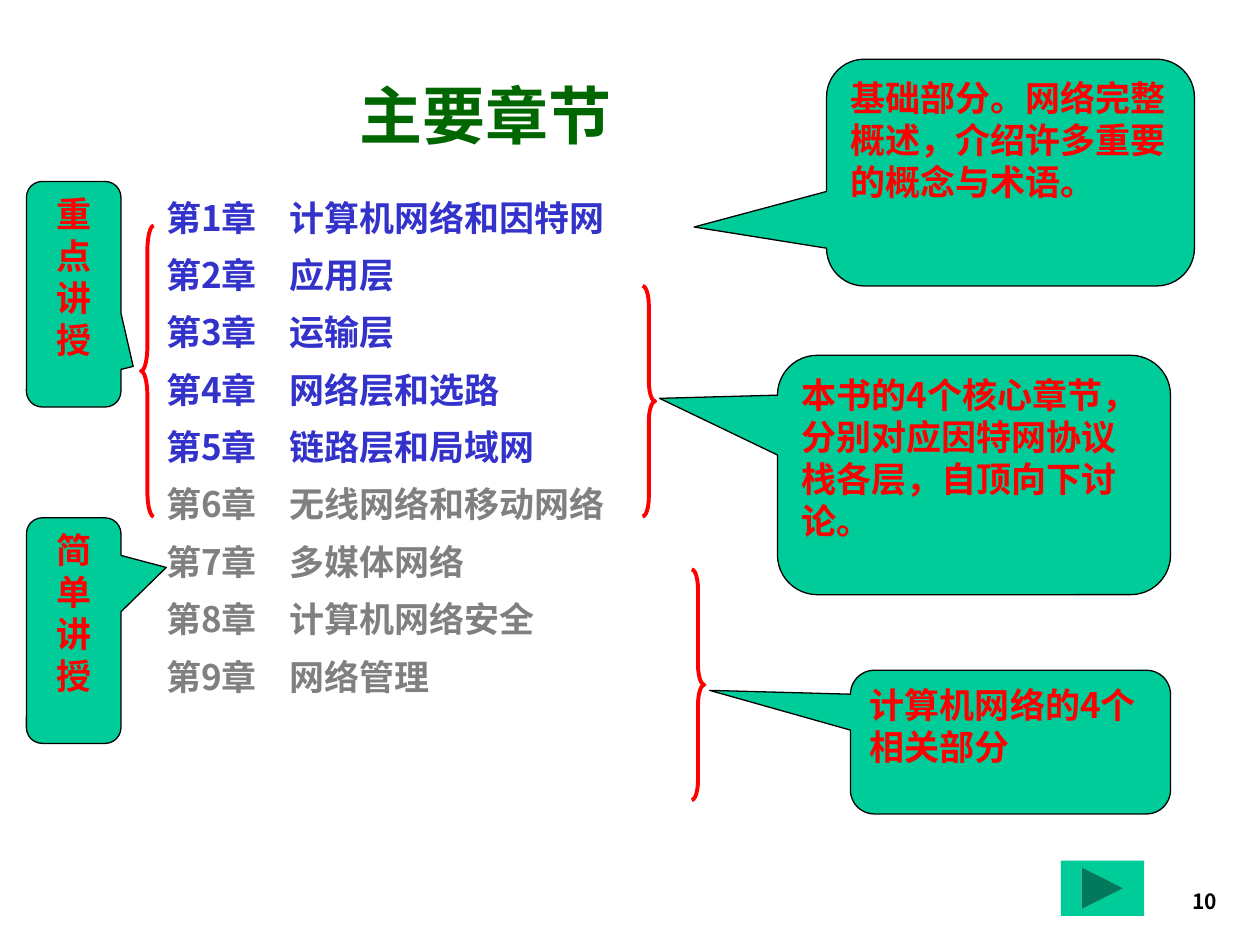
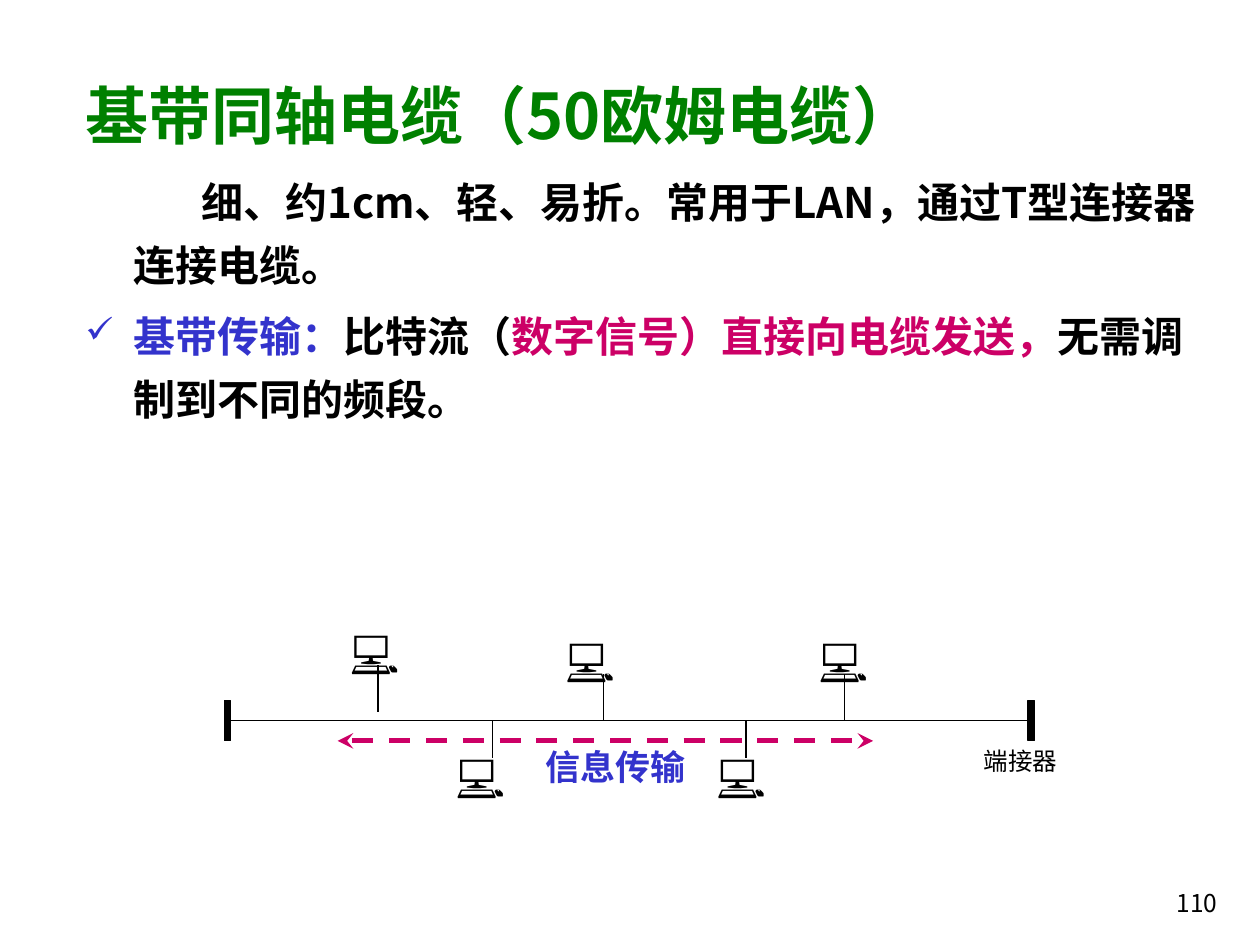
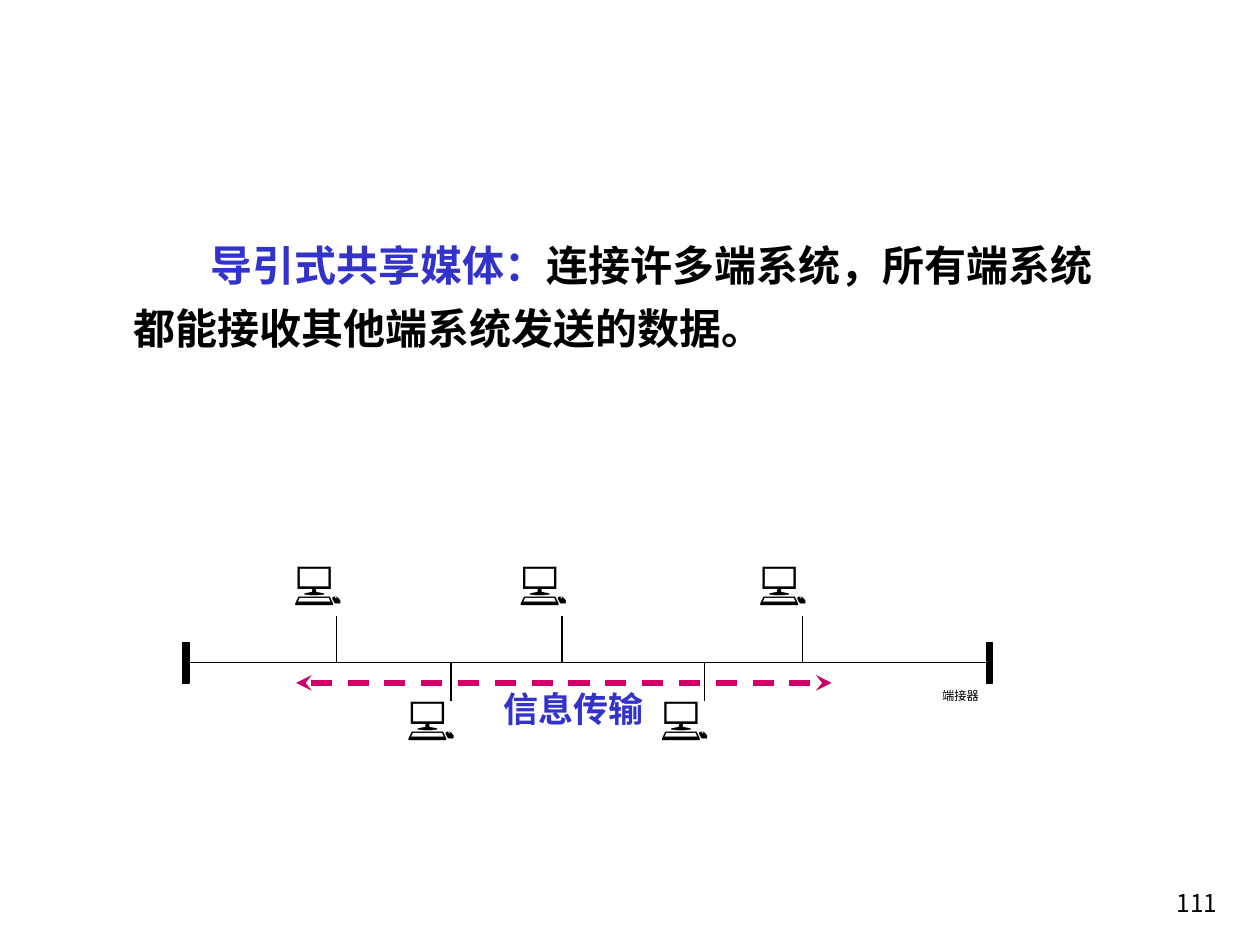
from pptx import Presentation
from pptx import util as u
from pptx.dml.color import RGBColor
from pptx.enum import shapes, text, dml
from pptx.oxml import ns
from lxml import etree

GREEN = RGBColor(0x00, 0x66, 0x00)
LEAF = RGBColor(0x00, 0x80, 0x00)
BLUE = RGBColor(0x33, 0x33, 0xCC)
GRAY = RGBColor(0x80, 0x80, 0x80)
RED = RGBColor(0xFF, 0x00, 0x00)
TEAL = RGBColor(0x00, 0xCC, 0x99)
PINK = RGBColor(0xCC, 0x00, 0x66)
BLACK = RGBColor(0x00, 0x00, 0x00)
WHITE = RGBColor(0xFF, 0xFF, 0xFF)

SANS = "Noto Sans CJK SC"
SERIF = "Times New Roman"
FORM = shapes.MSO_SHAPE
LEFT, MID, RIGHT, JUST = (text.PP_ALIGN.LEFT, text.PP_ALIGN.CENTER,
                          text.PP_ALIGN.RIGHT, text.PP_ALIGN.JUSTIFY)

CORE = ["计算机网络和因特网", "应用层", "运输层", "网络层和选路", "链路层和局域网"]
EXTRA = ["无线网络和移动网络", "多媒体网络", "计算机网络安全", "网络管理"]

CALLS = [
    ("基础部分。网络完整概述，介绍许多重要的概念与术语。",
     (6.56, 0.47, 2.92, 1.8), (-0.86, 0.24), LEFT),
    ("本书的4个核心章节，分别对应因特网协议栈各层，自顶向下讨论。",
     (6.17, 2.82, 3.12, 1.9), (-0.8, -0.32), LEFT),
    ("计算机网络的4个相关部分", (6.75, 5.32, 2.54, 1.14), (-0.94, -0.36), LEFT),
    ("重点讲授", (0.21, 1.44, 0.75, 1.79), (0.63, 0.32), MID),
    ("简单讲授", (0.21, 4.11, 0.75, 1.79), (0.98, -0.28), MID),
]
BRACES = [
    (FORM.RIGHT_BRACE, (5.1, 2.27, 0.1, 1.83), 1.57),
    (FORM.RIGHT_BRACE, (5.49, 4.52, 0.1, 1.83), 1.57),
    (FORM.LEFT_BRACE, (1.12, 1.79, 0.1, 2.31), 1.98),
]

CABLE = [
    (0.54, False, [("细、约1cm、轻、易折。常用于LAN，通过T型连接器连接电缆。", BLACK)]),
    (-0.38, True, [("基带传输：", BLUE), ("比特流（", BLACK),
                   ("数字信号）直接向电缆发送，", PINK),
                   ("无需调制到不同的频段。", BLACK)]),
]
SHARED = [
    (0.61, False, [("导引式共享媒体：", BLUE),
                   ("连接许多端系统，所有端系统都能接收其他端系统发送的数据。", BLACK)]),
]

SPAN = 6.38
UPPER = [1.22, 3.01, 4.92]
LOWER = [2.13, 4.14]
BUS_A = dict(x=1.78, y=5.72, size=14, lift=0.07, hosts=[
    (1.74, 0.15, 0.77), (3.81, 0.15, 0.77), (4.62, -0.77, 0.81),
    (2.61, -0.77, 0.81), (0.9, -0.83, 0.81)])
BUS_B = dict(x=1.45, y=5.26, size=7, lift=0, hosts=[
    (1.68, 0.15, 0.77), (3.69, 0.15, 0.77), (4.47, -0.92, 0.81),
    (2.57, -0.92, 0.81), (0.78, -0.92, 0.81)])


def put(par, words, size, color, bold=False, face=SANS):
    run = par.add_run()
    run.text = words
    font = run.font
    font.size, font.bold, font.name = u.Pt(size), bold, face
    font.color.rgb = color
    if face == SANS:
        etree.SubElement(run._r.get_or_add_rPr(), ns.qn("a:ea"), typeface=face)


def box(slide, at):
    frame = slide.shapes.add_textbox(*map(u.Inches, at)).text_frame
    frame.word_wrap = True
    return frame


def shape(slide, form, at, fill=None, line=None, width=0.75):
    item = slide.shapes.add_shape(form, *map(u.Inches, at))
    item.shadow.inherit = False
    if fill is None:
        item.fill.background()
    else:
        item.fill.solid()
        item.fill.fore_color.rgb = fill
    if line is None:
        item.line.fill.background()
    else:
        item.line.color.rgb = line
        item.line.width = u.Pt(width)
    item.text_frame.vertical_anchor = text.MSO_ANCHOR.TOP
    return item


def label(item, words, size, color, bold, face, align):
    item.text_frame.word_wrap = True
    par = item.text_frame.paragraphs[0]
    par.alignment = align
    put(par, words, size, color, bold, face)


def wire(slide, x1, y1, x2, y2, color=BLACK, width=0.75):
    line = slide.shapes.add_connector(
        shapes.MSO_CONNECTOR.STRAIGHT, *map(u.Inches, (x1, y1, x2, y2)))
    line.line.color.rgb = color
    line.line.width = u.Pt(width)
    etree.SubElement(line._element.spPr, ns.qn("a:effectLst"))
    return line


def title(slide, words, width, color, align):
    frame = box(slide, (0.58, 0.45, width, 0.91))
    frame.vertical_anchor = text.MSO_ANCHOR.MIDDLE
    par = frame.paragraphs[0]
    par.alignment = align
    put(par, words, 36, color, True)


def page(slide, number, size, bold):
    par = box(slide, (9.08, 7, 0.68, 0.5)).paragraphs[0]
    par.alignment = RIGHT
    put(par, str(number), size, BLACK, bold)


def lines(frame, count, size, pitch):
    for i in range(count):
        par = frame.add_paragraph() if i else frame.paragraphs[0]
        par.line_spacing = pitch
        if i:
            par.space_before = u.Pt(size * 0.2)
        yield par


def mark(props):
    color = etree.SubElement(props, ns.qn("a:buClr"))
    etree.SubElement(color, ns.qn("a:srgbClr"), val=str(BLUE))
    etree.SubElement(props, ns.qn("a:buSzPct"), val="85000")
    etree.SubElement(props, ns.qn("a:buChar"), char="✓")


def body(slide, at, paras):
    frame = box(slide, at)
    for par, (indent, tick, runs) in zip(lines(frame, len(paras), 24, 1.25), paras):
        props = par._p.get_or_add_pPr()
        props.set("marL", str(u.Inches(0.38)))
        props.set("indent", str(u.Inches(indent)))
        if tick:
            mark(props)
        for words, color in runs:
            put(par, words, 24, color, True)


def chapters(slide):
    names = CORE + EXTRA
    frame = box(slide, (1.22, 1.44, 4.7, 5.33))
    for i, par in enumerate(lines(frame, len(names), 20, 1.2)):
        tabs = etree.SubElement(par._p.get_or_add_pPr(), ns.qn("a:tabLst"))
        etree.SubElement(tabs, ns.qn("a:tab"), pos=str(u.Inches(0.98)), algn="l")
        color = BLUE if i < len(CORE) else GRAY
        put(par, f"第{i + 1}章\t{names[i]}", 20, color, True)


def network(slide, x, y, size, lift, hosts):
    for dx, dy, width in hosts:
        host = shape(slide, FORM.RECTANGLE, (x + dx, y + dy, width, 0.77), WHITE)
        label(host, "💻", 26, BLACK, False, SERIF, JUST)
    flow = shape(slide, FORM.RECTANGLE, (x + 2.45, y + 0.15, 1.36, 0.31), WHITE)
    label(flow, "信息传输", 20, BLUE, True, SERIF, JUST)
    note = shape(slide, FORM.RECTANGLE, (x + 5.93, y + 0.15, 0.9, 0.31), WHITE)
    label(note, "端接器", size, BLACK, False, SERIF, JUST)

    caps = [shape(slide, FORM.RECTANGLE, (left, y - 0.16, 0.05, 0.32), BLACK, BLACK)
            for left in (x, x + SPAN)]
    bus = wire(slide, x, y, x + SPAN, y)
    bus.begin_connect(caps[0], 1)
    bus.end_connect(caps[1], 1)
    for i, dx in enumerate(UPPER):
        up = 0 if i else lift
        wire(slide, x + dx, y - 0.37 - up, x + dx, y - up)
    for dx in LOWER:
        wire(slide, x + dx, y, x + dx, y + 0.3)

    arrow = wire(slide, x + 0.9, y + 0.16, x + 5.15, y + 0.16, PINK, 3)
    arrow.line.dash_style = dml.MSO_LINE.DASH
    for end in ("a:headEnd", "a:tailEnd"):
        etree.SubElement(arrow.line._get_or_add_ln(), ns.qn(end), type="stealth")


def main():
    deck = Presentation()
    deck.slide_width, deck.slide_height = u.Inches(10), u.Inches(7.5)
    first, second, third = [deck.slides.add_slide(deck.slide_layouts[6])
                            for _ in range(3)]

    page(first, 10, 12, True)
    title(first, "主要章节", 6.55, GREEN, MID)
    chapters(first)
    for words, at, tip, align in CALLS:
        call = shape(first, FORM.ROUNDED_RECTANGULAR_CALLOUT, at, TEAL, BLACK)
        call.adjustments[0], call.adjustments[1] = tip
        label(call, words, 20, RED, True, SANS, align)
    for form, at, curl in BRACES:
        brace = shape(first, form, at, None, RED, 2.25)
        brace.adjustments[0] = curl
    shape(first, FORM.ACTION_BUTTON_FORWARD_OR_NEXT, (8.42, 6.83, 0.66, 0.44), TEAL)

    page(second, 110, 14, False)
    title(second, "基带同轴电缆（50欧姆电缆）", 9.18, LEAF, LEFT)
    body(second, (0.58, 1.25, 9.06, 5.88), CABLE)
    network(second, **BUS_A)

    page(third, 111, 14, False)
    body(third, (0.58, 1.75, 8.5, 2.04), SHARED)
    network(third, **BUS_B)

    deck.save("out.pptx")


if __name__ == "__main__":
    main()
